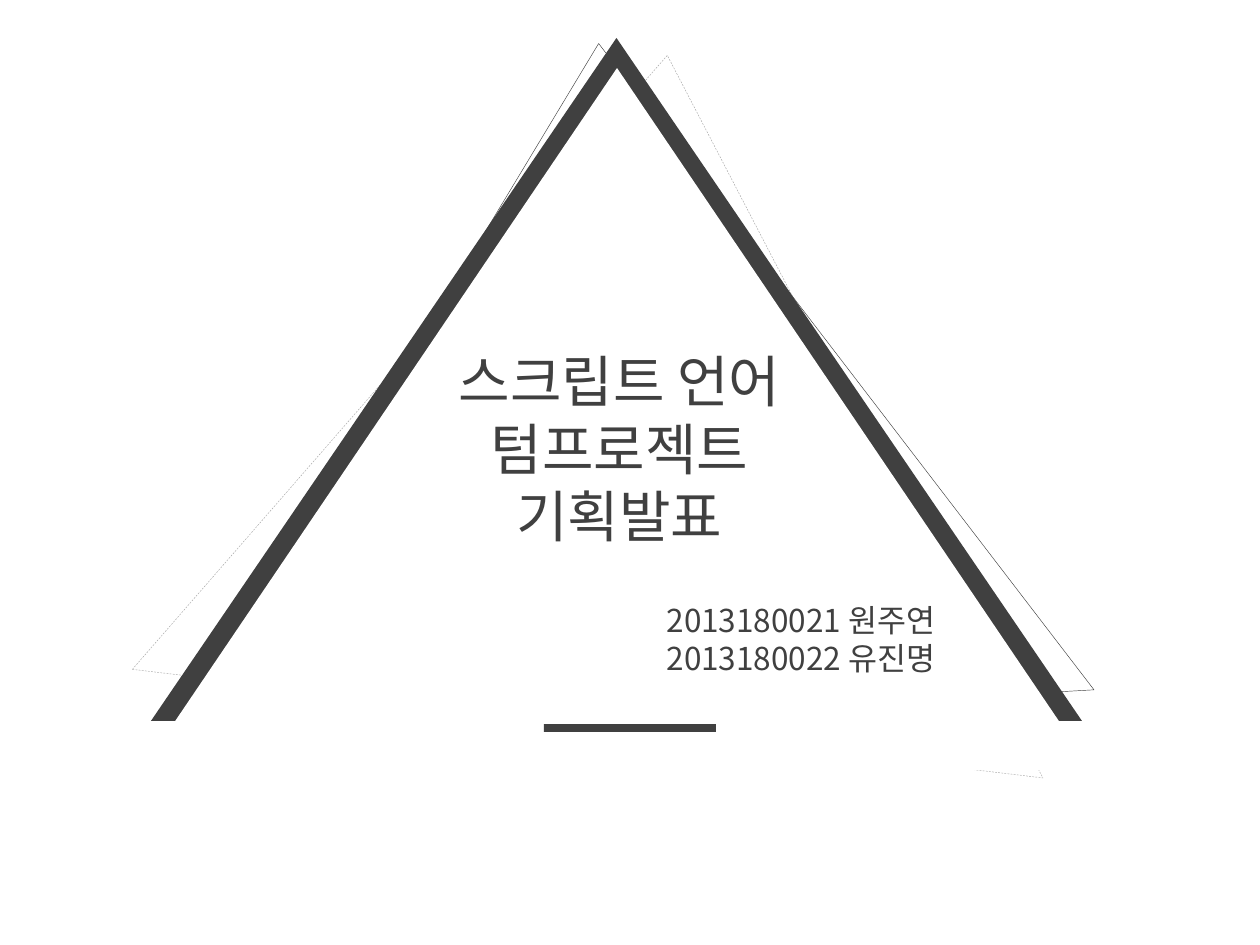
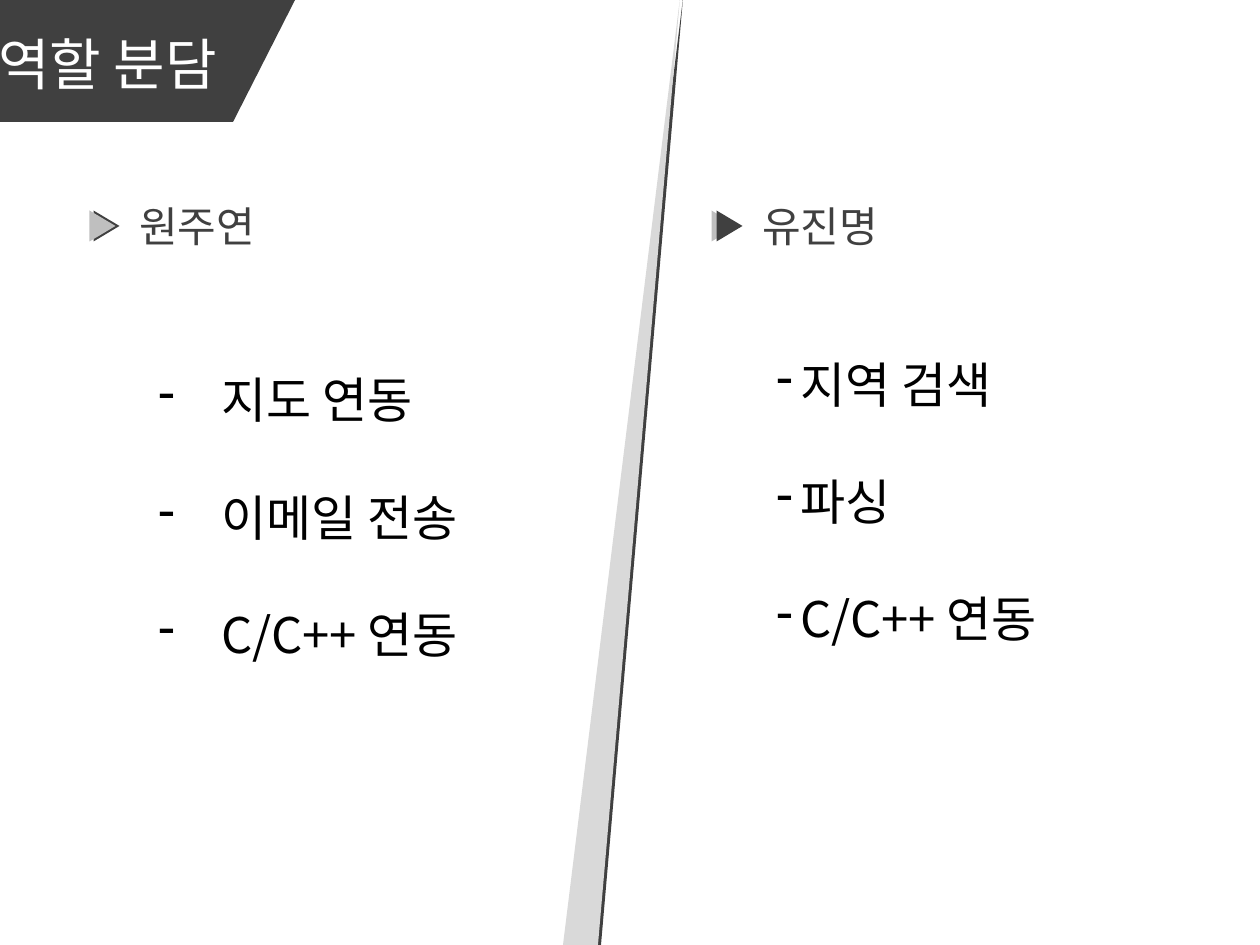
from pptx import Presentation
from pptx.dml.color import RGBColor
from pptx.enum.dml import MSO_LINE
from pptx.enum.shapes import MSO_SHAPE
from pptx.enum.text import MSO_AUTO_SIZE, PP_ALIGN
from pptx.oxml.ns import qn
from pptx.util import Pt
from lxml.etree import SubElement

SCALE = 914400 / 126  # EMU in one pixel
FONT = "Noto Sans CJK KR"
HEX = {"dark": "404040", "mid": "A6A6A6", "soft": "BFBFBF",
       "pale": "D9D9D9", "white": "FFFFFF", "black": "000000"}


def px(n):
    return round(n * SCALE)


def color(name):
    return RGBColor.from_string(HEX[name])


def paint(shape, fill=None, line=None, dash=None):
    """Set fill and outline, without a shadow."""
    shape.shadow.inherit = False
    if fill:
        shape.fill.solid()
        shape.fill.fore_color.rgb = color(fill)
    else:
        shape.fill.background()
    if line:
        shape.line.color.rgb = color(line)
        shape.line.width = Pt(0.25)
        if dash:
            shape.line.dash_style = dash
    else:
        shape.line.fill.background()


def block(slide, kind, box, turn=0, tip=None, **style):
    """Preset shape; tip moves the apex of a triangle."""
    shape = slide.shapes.add_shape(kind, *map(px, box))
    shape.rotation = turn
    if tip is not None:
        shape.adjustments[0] = tip
    paint(shape, **style)


def shard(slide, points, fill):
    """Closed outline through the points."""
    form = slide.shapes.build_freeform(*points[0], scale=SCALE)
    form.add_line_segments(points[1:], close=True)
    paint(form.convert_to_shape(), fill=fill)


def text(slide, lines, box, size, tint="dark", align=PP_ALIGN.LEFT,
         wrap=True, dash=0, gap=0, top=6):
    """Text box; dash is the hanging indent of a dash list."""
    frame = slide.shapes.add_textbox(*map(px, box)).text_frame
    frame.word_wrap = wrap
    frame.auto_size = MSO_AUTO_SIZE.SHAPE_TO_FIT_TEXT
    frame.margin_top = px(top)
    for i, line in enumerate(lines):
        para = frame.add_paragraph() if i else frame.paragraphs[0]
        para.alignment = align
        if i and gap:
            para.space_before = Pt(gap)
        if dash:
            props = para._p.get_or_add_pPr()
            props.set("marL", str(px(dash)))
            props.set("indent", str(-px(dash)))
            SubElement(props, qn("a:buChar")).set("char", "-")
        run = para.add_run()
        run.text = line
        run.font.size = Pt(size)
        run.font.name = FONT
        run.font.color.rgb = color(tint)
        east = SubElement(run._r.get_or_add_rPr(), qn("a:ea"))
        east.set("typeface", FONT)


def header(slide, title):
    """Dark band with a slanted end."""
    block(slide, MSO_SHAPE.RECTANGLE, (0, 0, 233, 122), fill="dark")
    block(slide, MSO_SHAPE.ISOSCELES_TRIANGLE, (203, 30, 122, 62),
          turn=90, tip=0, fill="dark")
    text(slide, [title], (-14, 23, 280, 81), 32, "white")


def member(slide, name, left, marks):
    """Name with two overlapping arrow marks."""
    for x, fill in marks:
        block(slide, MSO_SHAPE.ISOSCELES_TRIANGLE, (x, 213, 31, 26),
              turn=90, fill=fill)
    text(slide, [name], (left, 195, 152, 63), 24, wrap=False)


def cover(slide):
    tri = MSO_SHAPE.ISOSCELES_TRIANGLE
    # Nested triangles
    block(slide, tri, (159, 43, 917, 673), turn=356.8, line="dark")
    block(slide, tri, (169, 53, 917, 673), turn=6.8, line="mid",
          dash=MSO_LINE.DASH)
    block(slide, tri, (151, 38, 931, 683), fill="dark")
    block(slide, tri, (142, 68, 950, 702), fill="white")
    # Title, rule and authors
    text(slide, ["스크립트 언어", "텀프로젝트", "기획발표"],
         (420, 341, 399, 217), 32, align=PP_ALIGN.CENTER)
    block(slide, MSO_SHAPE.RECTANGLE, (544, 724, 172, 8), fill="dark")
    text(slide, ["2013180021 원주연", "2013180022 유진명"],
         (638, 595, 326, 89), 18, align=PP_ALIGN.CENTER)


def roles(slide):
    # Left member
    text(slide, ["지도 연동", "이메일 전송", "C/C++ 연동"],
         (146, 305, 379, 428), 28, "black", dash=63, gap=33.5, top=65)
    member(slide, "원주연", 127, [(91, "dark"), (87, "soft")])
    # Right member
    text(slide, ["지역 검색", "파싱", "C/C++ 연동"],
         (764, 348, 435, 310), 28, "black", dash=24, gap=33.5)
    member(slide, "유진명", 750, [(709, "soft"), (714, "dark")])
    # Slanted divider
    for shift, fill in ((0, "dark"), (-3, "pale")):
        shard(slide, [(683 + shift, -2), (601 + shift, 945),
                      (566 + shift, 945)], fill)
    header(slide, "역할 분담")


def main():
    deck = Presentation()
    deck.slide_width, deck.slide_height = px(1260), px(945)
    for draw in (cover, roles):
        draw(deck.slides.add_slide(deck.slide_layouts[6]))
    deck.save("out.pptx")


main()
